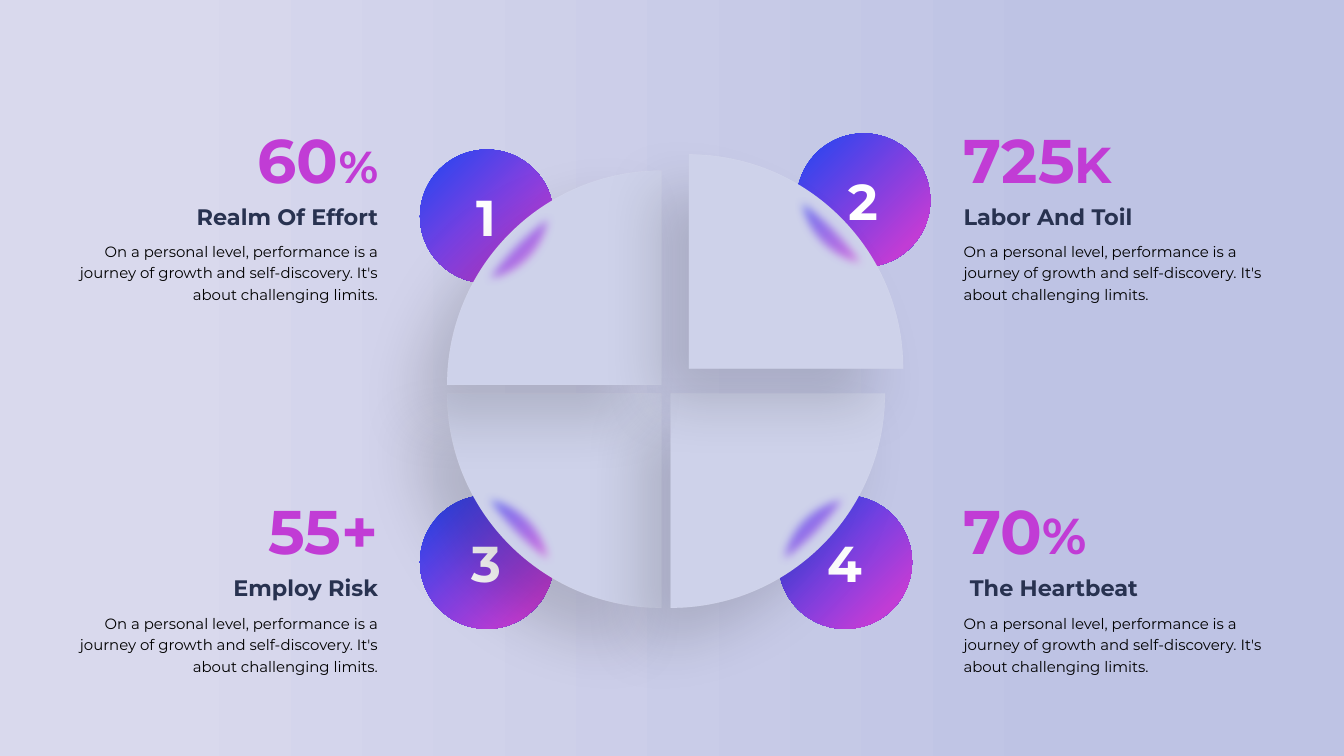
from dataclasses import dataclass

import pptx
import pptx.dml.color
import pptx.enum.shapes
import pptx.enum.text
import pptx.oxml
import pptx.oxml.ns
import pptx.util
from pptx.util import Cm

MSO_SHAPE = pptx.enum.shapes.MSO_SHAPE
PP_ALIGN = pptx.enum.text.PP_ALIGN
MSO_ANCHOR = pptx.enum.text.MSO_ANCHOR
RGBColor = pptx.dml.color.RGBColor
qn = pptx.oxml.ns.qn
nsdecls = pptx.oxml.ns.nsdecls


@dataclass(frozen=True)
class Theme:
    font: str = "Montserrat"
    background: tuple = ((11, "D9D9ED"), (80, "BEC3E4"))
    accent: tuple = ((17, "C13CD5"), (100, "1C46F2"))
    figure: tuple = ((11, "C13CD5"), (80, "1C46F2"))
    quarter: str = "BEC3E4"
    white: str = "FFFFFF"
    heading: str = "283250"
    body: str = "000000"
    figure_size: int = 66
    letter_unit_size: int = 54
    percent_size: int = 48
    number_size: int = 54
    heading_size: int = 24
    body_size: int = 16


theme = Theme()


def fill_gradient(fill, stops):
    """Fill from left to right with two (percent, colour) stops."""
    fill.gradient()
    fill.gradient_angle = 0
    for stop, (position, colour) in zip(fill.gradient_stops, stops):
        stop.position = position / 100
        stop.color.rgb = RGBColor.from_string(colour)


def write_text(shape, *runs, colour, bold=False, align=PP_ALIGN.LEFT,
               anchor=MSO_ANCHOR.TOP, line_spacing=None, grow=False):
    """Write (text, size) runs as one paragraph; colour is a hex string or gradient stops."""
    frame = shape.text_frame
    frame.word_wrap = True
    frame.vertical_anchor = anchor
    if grow:
        frame.auto_size = pptx.enum.text.MSO_AUTO_SIZE.SHAPE_TO_FIT_TEXT
    paragraph = frame.paragraphs[0]
    paragraph.alignment = align
    paragraph.line_spacing = line_spacing
    for text, size in runs:
        run = paragraph.add_run()
        run.text = text
        run.font.name = theme.font
        run.font.size = pptx.util.Pt(size)
        run.font.bold = bold
        if isinstance(colour, str):
            run.font.color.rgb = RGBColor.from_string(colour)
        else:
            fill_gradient(run.font.fill, colour)


presentation = pptx.Presentation()
presentation.slide_width = Cm(50.8)
presentation.slide_height = Cm(28.58)
slide = presentation.slides.add_slide(presentation.slide_layouts[6])
fill_gradient(slide.background.fill, theme.background)

disc_size = 5.05
disc_x, disc_y = 6.6, 6.37

# Outlines are offsets in cm from the right-angled corner of a quarter. After the
# start, a segment of one point is a line and one of three points a Bézier curve.
radius, handle = 8.1, 4.47
quarter_outline = (
    ((0, 0),),
    ((0, radius),),
    ((handle, radius), (radius, handle), (radius, 0)),
)
gleam_outline = (
    ((3.99, 7.01),),
    ((3.99, 6.93),),
    ((3.94, 6.76), (3.91, 6.55), (3.91, 6.38)),
    ((3.91, 4.85), (5.16, 3.63), (6.65, 3.63)),
    ((6.86, 3.63), (7.04, 3.66), (7.21, 3.68)),
    ((6.81, 4.37),),
    ((6.17, 5.31), (5.38, 6.1), (4.45, 6.73)),
)

shadow_xml = (
    f'<a:outerShdw {nsdecls("a")} blurRad="800100" dist="635000" dir="7980000" '
    'algn="tr" rotWithShape="0"><a:srgbClr val="000000"><a:alpha val="15000"/>'
    '</a:srgbClr></a:outerShdw>'
)
soft_edge_xml = f'<a:softEdge {nsdecls("a")} rad="127000"/>'
radial_xml = (
    f'<a:path {nsdecls("a")} path="circle"><a:fillToRect l="100000" t="100000"/></a:path>'
)

# Number, corner, and the direction in which the quarter opens.
quarters = (
    ("3", 25.0, 14.88, -1, 1),
    ("4", 25.35, 14.88, 1, 1),
    ("1", 25.0, 14.55, -1, -1),
    ("2", 26.04, 13.94, 1, -1),
)
for number, corner_x, corner_y, side, rise in quarters:
    disc = slide.shapes.add_shape(
        MSO_SHAPE.OVAL,
        Cm(corner_x + side * disc_x - disc_size / 2),
        Cm(corner_y + rise * disc_y - disc_size / 2),
        Cm(disc_size), Cm(disc_size))
    disc.line.fill.background()
    disc.shadow.inherit = False
    write_text(disc, (number, theme.number_size), colour=theme.white, bold=True,
               align=PP_ALIGN.CENTER, anchor=MSO_ANCHOR.MIDDLE)

    group = slide.shapes.add_group_shape()
    layers = []
    for outline, effect_xml in (
        (quarter_outline, shadow_xml),
        (gleam_outline, soft_edge_xml),
        (quarter_outline, None),
    ):
        points = [(Cm(corner_x + side * x), Cm(corner_y + rise * y))
                  for segment in outline for x, y in segment]
        builder = group.shapes.build_freeform(*points[0])
        builder.add_line_segments(points[1:], close=True)
        layer = builder.convert_to_shape()
        lines = iter(list(layer.element.spPr.iter(qn("a:lnTo"))))
        for segment in outline[1:]:
            first, *others = [next(lines) for _ in segment]
            if others:
                first.tag = qn("a:cubicBezTo")
            for line in others:
                first.append(line[0])
                line.getparent().remove(line)
        layer.line.fill.background()
        layer.shadow.inherit = False
        if effect_xml:
            effects = layer.element.spPr.find(qn("a:effectLst"))
            effects.append(pptx.oxml.parse_xml(effect_xml))
        layers.append(layer)
    base, gleam, glass = layers

    base.fill.solid()
    base.fill.fore_color.rgb = RGBColor.from_string(theme.quarter)

    for shape in (disc, gleam):
        fill_gradient(shape.fill, theme.accent)
        linear = shape.element.spPr.find(f".//{qn('a:lin')}")
        linear.getparent().replace(linear, pptx.oxml.parse_xml(radial_xml))

    glass.line.width = pptx.util.Pt(0.75)
    for fill in (glass.fill, glass.line.fill):
        fill.solid()
        fill.fore_color.rgb = RGBColor.from_string(theme.white)
    for colour, opacity in zip(glass.element.spPr.iter(qn("a:srgbClr")), (25, 10)):
        colour.append(pptx.oxml.parse_xml(
            f'<a:alpha {nsdecls("a")} val="{opacity * 1000}"/>'))

description = ("On a personal level, performance is a journey of growth and "
               "self-discovery. It's about challenging limits.")
left_edge, right_edge = 36.17, 14.54
upper, lower = 4.47, 18.52
captions = (
    (PP_ALIGN.LEFT, upper, "725", ("K", theme.letter_unit_size), "Labor And Toil"),
    (PP_ALIGN.LEFT, lower, "70", ("%", theme.letter_unit_size), " The Heartbeat"),
    (PP_ALIGN.RIGHT, upper, "60", ("%", theme.percent_size), "Realm Of Effort"),
    (PP_ALIGN.RIGHT, lower, "55+", None, "Employ Risk"),
)
for align, top, figure, unit, heading in captions:
    figure_runs = [(figure, theme.figure_size)]
    if unit:
        figure_runs.append(unit)
    for offset, width, height, runs, text_format in (
        (0, 7.42, 3.07, figure_runs, {"colour": theme.figure, "bold": True}),
        (3.07, 11.4, 1.27, [(heading, theme.heading_size)],
         {"colour": theme.heading, "bold": True}),
        (4.44, 12.52, 2.72, [(description, theme.body_size)],
         {"colour": theme.body, "line_spacing": 1.2}),
    ):
        left = left_edge if align == PP_ALIGN.LEFT else right_edge - width
        box = slide.shapes.add_textbox(Cm(left), Cm(top + offset), Cm(width), Cm(height))
        write_text(box, *runs, align=align, grow=True, **text_format)

presentation.save("out.pptx")
